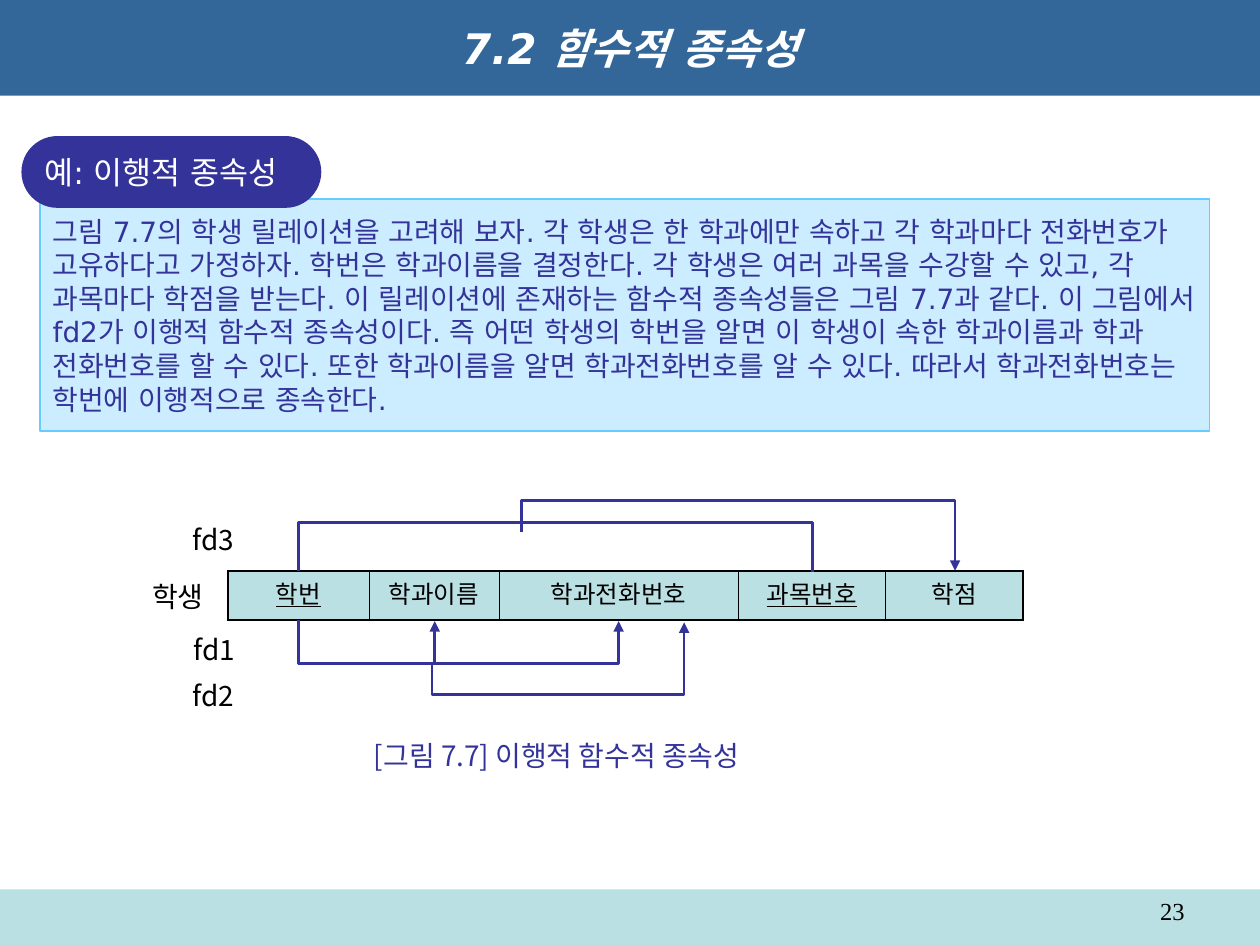
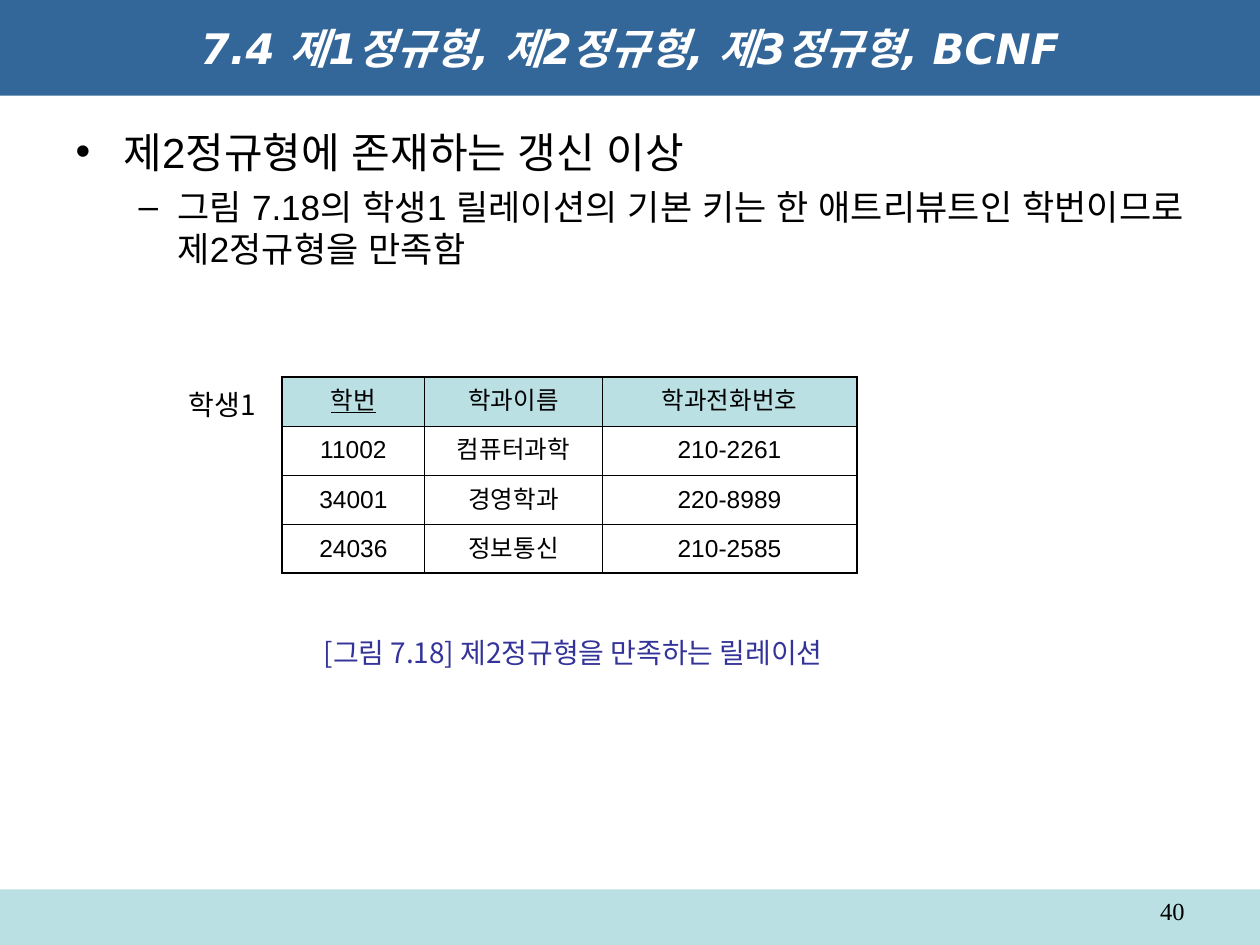
import pptx
import pptx.util
import pptx.dml.color
import pptx.enum.shapes
import pptx.enum.text
import pptx.oxml
import pptx.oxml.ns

Inches = pptx.util.Inches
Pt = pptx.util.Pt
RGBColor = pptx.dml.color.RGBColor
SHAPES = pptx.enum.shapes.MSO_SHAPE
ALIGN = pptx.enum.text.PP_ALIGN
ANCHOR = pptx.enum.text.MSO_ANCHOR
qn = pptx.oxml.ns.qn

STEEL = RGBColor(0x33, 0x66, 0x99)
TEAL = RGBColor(0xBB, 0xE0, 0xE3)
INDIGO = RGBColor(0x33, 0x33, 0x99)
PALE = RGBColor(0xCC, 0xEC, 0xFF)
SKY = RGBColor(0x66, 0xCC, 0xFF)
WHITE = RGBColor(0xFF, 0xFF, 0xFF)
BLACK = RGBColor(0, 0, 0)

DEJAVU = "DejaVu Sans"
NOTO_JP = "Noto Sans CJK JP"
NOTO_KR = "Noto Sans CJK KR"
OUTER, INNER = 1.08, 0.45
ROW_HEIGHT = 0.39

EXAMPLE = {
    "title": "7.2 함수적 종속성",
    "number": "23",
    "heading": "예: 이행적 종속성",
    "explanation": (
        "그림 7.7의 학생 릴레이션을 고려해 보자. 각 학생은 한 학과에만 속하고 각 학과마다 "
        "전화번호가 고유하다고 가정하자. 학번은 학과이름을 결정한다. 각 학생은 여러 과목을 "
        "수강할 수 있고, 각 과목마다 학점을 받는다. 이 릴레이션에 존재하는 함수적 종속성들은 "
        "그림 7.7과 같다. 이 그림에서 fd2가 이행적 함수적 종속성이다. 즉 어떤 학생의 학번을 "
        "알면 이 학생이 속한 학과이름과 학과 전화번호를 할 수 있다. 또한 학과이름을 알면 "
        "학과전화번호를 알 수 있다. 따라서 학과전화번호는 학번에 이행적으로 종속한다."),
    "relation": [["학번", "학과이름", "학과전화번호", "과목번호", "학점"]],
    "widths": [1.12, 1.03, 1.9, 1.17, 1.09],
    "keys": ["학번", "과목번호"],
    "labels": [("학생", 1.11, 4.55, 0.63), ("fd1", 1.44, 4.97, 0.54),
               ("fd2", 1.43, 5.34, 0.54), ("fd3", 1.43, 4.1, 0.54)],
    "caption": ("[그림 7.7] 이행적 함수적 종속성", 2.87, 5.81, 3.44),
    "dependencies": [
        ((2.37, 4.92), (3.45, 4.93), 5.27, True),
        ((2.37, 4.92), (4.91, 4.93), 5.27, True),
        ((4.14, 4.22), (7.58, 4.53), 3.97, True),
        ((2.37, 4.53), (6.45, 4.54), 4.14, False),
        ((3.43, 5.26), (5.43, 4.94), 5.51, True),
    ],
}

ANOMALY = {
    "title": "7.4 제1정규형, 제2정규형, 제3정규형, BCNF",
    "number": "40",
    "points": [
        ("제2정규형에 존재하는 갱신 이상",
         dict(size=24, level=0, bullet="•", margin=0.38, hanging=0.38)),
        ("그림 7.18의 학생1 릴레이션의 기본 키는 한 애트리뷰트인 학번이므로 제2정규형을 만족함",
         dict(size=20, level=1, bullet="–", margin=0.81, hanging=0.31, before=5)),
    ],
    "relation": [["학번", "학과이름", "학과전화번호"],
                 ["11002", "컴퓨터과학", "210-2261"],
                 ["34001", "경영학과", "220-8989"],
                 ["24036", "정보통신", "210-2585"]],
    "widths": [1.13, 1.41, 2.02],
    "keys": ["학번"],
    "labels": [("학생1", 1.4, 3.03, 0.81)],
    "caption": ("[그림 7.18] 제2정규형을 만족하는 릴레이션", 2.47, 4.99, 4.65),
}


def write(paragraph, text, face="Arial", size=14, color=BLACK, align=ALIGN.LEFT, bold=False,
          italic=False, underline=False, level=0, bullet=None, margin=0, hanging=0, before=0):
    paragraph.level = level
    paragraph.alignment = align
    paragraph.space_before = Pt(before)
    if bullet:
        properties = paragraph._p.get_or_add_pPr()
        properties.set("marL", str(Inches(margin)))
        properties.set("indent", str(-Inches(hanging)))
        properties.append(properties.makeelement(qn("a:buChar"), {"char": bullet}))
    run = paragraph.add_run()
    run.text = text
    font = run.font
    font.name, font.size, font.color.rgb = face, Pt(size), color
    font.bold, font.italic, font.underline = bold, italic, underline
    run_properties = run._r.get_or_add_rPr()
    run_properties.append(run_properties.makeelement(qn("a:ea"), {"typeface": face}))


def place(shape, left, top, width, height):
    shape.left, shape.top = Inches(left), Inches(top)
    shape.width, shape.height = Inches(width), Inches(height)


def add_panel(slide, kind, box, fill, line=None):
    panel = slide.shapes.add_shape(kind, *map(Inches, box))
    panel.shadow.inherit = False
    panel.fill.solid()
    panel.fill.fore_color.rgb = fill
    if line is None:
        panel.line.fill.background()
    else:
        panel.line.color.rgb = line
        panel.line.width = Pt(1)
    panel.text_frame.vertical_anchor = ANCHOR.MIDDLE
    return panel


def add_label(slide, text, left, top, width, height=0.37, anchor=ANCHOR.TOP, **style):
    frame = slide.shapes.add_textbox(*map(Inches, (left, top, width, height))).text_frame
    frame.word_wrap = False
    frame.auto_size = pptx.enum.text.MSO_AUTO_SIZE.SHAPE_TO_FIT_TEXT
    frame.vertical_anchor = anchor
    write(frame.paragraphs[0], text, **style)


def set_border(cell, side, width):
    properties = cell._tc.get_or_add_tcPr()
    border = pptx.oxml.parse_xml(
        f'<a:{side} {pptx.oxml.ns.nsdecls("a")} w="{Pt(width)}"><a:solidFill>'
        f'<a:srgbClr val="{BLACK}"/></a:solidFill></a:{side}>')
    properties.append(border)


def add_relation(slide, content, left, top):
    rows, widths = content["relation"], content["widths"]
    last_row, last_column = len(rows) - 1, len(widths) - 1
    relation = slide.shapes.add_table(
        len(rows), len(widths), Inches(left), Inches(top),
        Inches(sum(widths)), Inches(ROW_HEIGHT * len(rows))).table
    for column, width in zip(relation.columns, widths):
        column.width = Inches(width)
    for r, values in enumerate(rows):
        relation.rows[r].height = Inches(ROW_HEIGHT)
        for c, value in enumerate(values):
            cell = relation.cell(r, c)
            cell.vertical_anchor = ANCHOR.MIDDLE
            write(cell.text_frame.paragraphs[0], value, align=ALIGN.CENTER,
                  underline=value in content["keys"])
            edges = {"lnL": c == 0, "lnR": c == last_column,
                     "lnT": r == 0, "lnB": r == last_row}
            for side, is_outer in edges.items():
                set_border(cell, side, OUTER if is_outer else INNER)
            cell.fill.solid()
            cell.fill.fore_color.rgb = TEAL if r == 0 else WHITE


def add_dependency(slide, start, end, rail, arrow):
    (x1, y1), (x2, y2) = start, end
    span, rise = x2 - x1, abs(y2 - y1)
    left, top = (x1 + x2 - rise) / 2, (y1 + y2 - span) / 2
    dependency = slide.shapes.add_connector(
        pptx.enum.shapes.MSO_CONNECTOR.ELBOW,
        *map(Inches, (left, top, left + rise, top + span)))
    dependency.line.color.rgb = INDIGO
    dependency.line.width = Pt(1.5)
    properties = dependency._element.spPr
    transform = properties.find(qn("a:xfrm"))
    transform.set("flipH", "1")
    if y2 > y1:
        transform.set("rot", str(270 * 60000))
    else:
        transform.set("rot", str(90 * 60000))
        transform.set("flipV", "1")
    bend = round((rail - y1) / (y2 - y1) * 100000)
    guides = properties.find(qn("a:prstGeom")).find(qn("a:avLst"))
    guides.append(guides.makeelement(qn("a:gd"), {"name": "adj1", "fmla": f"val {bend}"}))
    if arrow:
        line = properties.find(qn("a:ln"))
        line.append(line.makeelement(qn("a:tailEnd"), {"type": "triangle"}))
    properties.append(properties.makeelement(qn("a:effectLst"), {}))


def add_slide(prs, layout, content):
    slide = prs.slides.add_slide(prs.slide_layouts[layout])
    write(slide.shapes.title.text_frame.paragraphs[0], content["title"], face=DEJAVU, size=24,
          color=WHITE, align=ALIGN.CENTER, bold=True, italic=True)
    frame = slide.shapes.add_textbox(*map(Inches, (7.17, 7.06, 2.33, 0.29))).text_frame
    frame.word_wrap = True
    write(frame.paragraphs[0], content["number"], face="Times New Roman", align=ALIGN.RIGHT)
    return slide


def add_figure_text(slide, content):
    for label in content["labels"]:
        add_label(slide, *label, face=NOTO_JP, size=16)
    add_label(slide, *content["caption"], anchor=ANCHOR.MIDDLE,
              face=NOTO_KR, size=16, color=INDIGO)


def set_up_master(prs, slide):
    footer_band = add_panel(slide, SHAPES.RECTANGLE, (0, 7.06, 10, 0.44), TEAL)
    prs.slide_master.shapes._spTree.insert(2, footer_band._element)
    title_band = prs.slide_master.placeholders[0]
    place(title_band, 0, 0, 10, 0.76)
    title_band.fill.solid()
    title_band.fill.fore_color.rgb = STEEL
    title_band.text_frame.vertical_anchor = ANCHOR.MIDDLE


def build_example(prs):
    slide = add_slide(prs, 5, EXAMPLE)
    set_up_master(prs, slide)
    explanation = add_panel(slide, SHAPES.RECTANGLE, (0.32, 1.58, 9.28, 1.84), PALE, SKY)
    explanation.text_frame.word_wrap = True
    write(explanation.text_frame.paragraphs[0], EXAMPLE["explanation"],
          face=DEJAVU, size=16, color=INDIGO)
    heading = add_panel(slide, SHAPES.ROUNDED_RECTANGLE, (0.17, 1.08, 2.38, 0.57), INDIGO)
    heading.adjustments[0] = 0.5
    heading.text_frame.word_wrap = False
    write(heading.text_frame.paragraphs[0], EXAMPLE["heading"],
          face=DEJAVU, size=18, color=WHITE)
    add_relation(slide, EXAMPLE, 1.81, 4.53)
    for dependency in EXAMPLE["dependencies"]:
        add_dependency(slide, *dependency)
    add_figure_text(slide, EXAMPLE)


def build_anomaly(prs):
    slide = add_slide(prs, 1, ANOMALY)
    points = slide.placeholders[1]
    place(points, 0.5, 0.95, 9, 5.95)
    frame = points.text_frame
    for i, (text, style) in enumerate(ANOMALY["points"]):
        write(frame.add_paragraph() if i else frame.paragraphs[0], text, **style)
    add_relation(slide, ANOMALY, 2.24, 2.99)
    add_figure_text(slide, ANOMALY)


def main():
    prs = pptx.Presentation()
    prs.slide_width, prs.slide_height = Inches(10), Inches(7.5)
    build_example(prs)
    build_anomaly(prs)
    prs.save("out.pptx")


if __name__ == "__main__":
    main()
